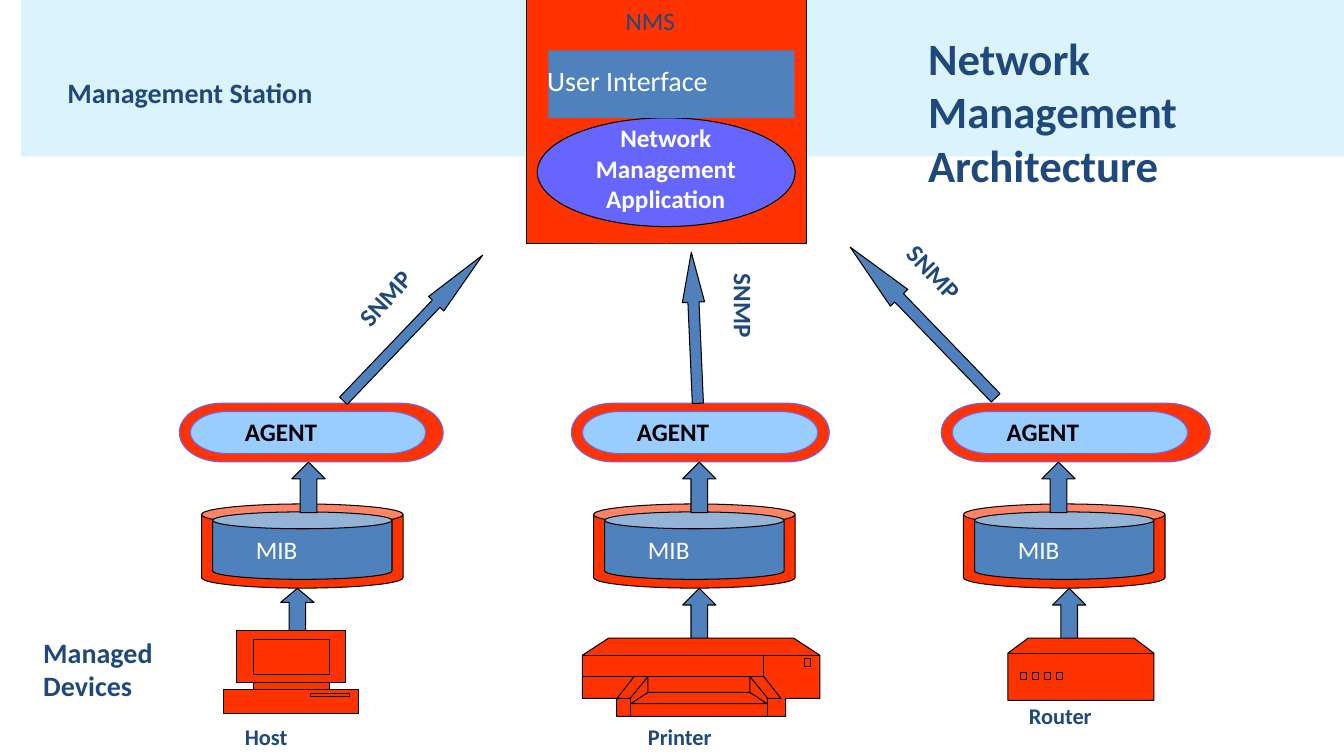
from dataclasses import dataclass

from pptx import Presentation
from pptx.dml.color import RGBColor
from pptx.enum.shapes import MSO_SHAPE as Preset
from pptx.enum.text import MSO_AUTO_SIZE as AutoSize, PP_ALIGN as Align
from pptx.util import Cm, Pt


@dataclass(frozen=True)
class Theme:
    font: str = "Calibri"
    navy: str = "1F497D"
    blue: str = "4F81BD"
    sky: str = "99CCFF"
    band: str = "DAF3FD"
    red: str = "FF3300"
    violet: str = "6666FF"
    black: str = "000000"
    white: str = "FFFFFF"
    title: int = 32
    heading: int = 20
    label: int = 18
    caption: int = 16
    outline: float = 0.75


@dataclass(frozen=True)
class Device:
    """One column of the diagram; all lengths are in centimetres."""
    name: str
    left: float
    agent_width: float
    mib_text_width: float
    agent_text_width: float
    snmp_arrow: tuple      # left, top, width, height, rotation, head length
    snmp_label: tuple      # left, top, rotation
    agent_arrow_left: float
    mib_arrow: tuple       # left, top, length, head length
    icon_at: tuple
    icon_outline: list
    icon_details: list
    caption: tuple         # left, top, width


class Diagram:
    def __init__(self, slide, theme):
        self.shapes = slide.shapes
        self.theme = theme

    def paint(self, shape, fill, line):
        shape.shadow.inherit = False
        if fill:
            shape.fill.solid()
            shape.fill.fore_color.rgb = RGBColor.from_string(fill)
        else:
            shape.fill.background()
        if line:
            shape.line.color.rgb = RGBColor.from_string(line)
            shape.line.width = Pt(self.theme.outline)
        else:
            shape.line.fill.background()
        return shape

    def block(self, preset, left, top, width, height, fill, line=None):
        shape = self.shapes.add_shape(preset, Cm(left), Cm(top), Cm(width), Cm(height))
        return self.paint(shape, fill, line)

    def arrow(self, left, top, length, height, rotation, head):
        arrow = self.block(Preset.RIGHT_ARROW, left, top, length, height,
                           self.theme.blue, self.theme.black)
        arrow.adjustments[0] = 0.5
        arrow.adjustments[1] = head
        arrow.rotation = rotation

    def contours(self, at, contours, fill, close):
        """Draw point lists, given relative to the corner at, as one freeform."""
        placed = [[(Cm(at[0] + x), Cm(at[1] + y)) for x, y in points]
                  for points in contours]
        builder = self.shapes.build_freeform(*placed[0][0])
        for index, (start, *rest) in enumerate(placed):
            if index:
                builder.move_to(*start)
            builder.add_line_segments(rest, close=close)
        self.paint(builder.convert_to_shape(), fill, self.theme.black)

    def text(self, words, left, top, width, height, size, color, bold=True,
             align=Align.LEFT, wrap=True, rotation=0, inset=True):
        box = self.shapes.add_textbox(Cm(left), Cm(top), Cm(width), Cm(height))
        box.rotation = rotation
        frame = box.text_frame
        frame.word_wrap = wrap
        frame.auto_size = AutoSize.SHAPE_TO_FIT_TEXT
        if not inset:
            frame.margin_left = frame.margin_right = 0
            frame.margin_top = frame.margin_bottom = 0
        frame.text = words
        paragraph = frame.paragraphs[0]
        paragraph.alignment = align
        font = paragraph.runs[0].font
        font.name, font.size, font.bold = self.theme.font, Pt(size), bold
        font.color.rgb = RGBColor.from_string(color)

    def station(self):
        t = self.theme
        self.block(Preset.RECTANGLE, 0.53, 0, 33.34, 3.94, t.band)
        self.block(Preset.RECTANGLE, 13.26, 0, 7.06, 6.15, t.red, t.black)
        self.block(Preset.OVAL, 13.54, 2.97, 6.5, 2.74, t.violet, t.black)
        self.block(Preset.RECTANGLE, 13.82, 1.27, 6.2, 1.7, t.blue)
        self.text("Management Station", 1.7, 1.9, 9.6, 0.86, t.heading, t.navy, inset=False)
        self.text("NMS", 15.52, 0, 3.12, 1.02, t.label, t.navy, bold=False)
        self.text("User Interface", 13.54, 1.47, 6.5, 1.09, t.heading, t.white, bold=False)
        self.text("Network Management Application", 13.82, 2.97, 5.92, 2.54,
                  t.label, t.white, align=Align.CENTER)

    def device(self, d):
        t = self.theme
        can, pill = Preset.CAN, Preset.FLOWCHART_TERMINATOR
        self.block(can, d.left, 12.7, 5.08, 2.12, t.red, t.black)
        self.block(can, d.left + 0.28, 12.9, 4.52, 1.7, t.blue, t.black)
        self.text("MIB", d.left + 1.12, 13.34, d.mib_text_width, 1.02,
                  t.label, t.white, bold=False)
        self.block(pill, d.left - 0.56, 10.16, d.agent_width, 1.48, t.red, t.violet)
        self.block(pill, d.left - 0.28, 10.37, 5.93, 1.06, t.sky, t.violet)
        self.text("AGENT", d.left + 0.84, 10.37, d.agent_text_width, 1.02, t.label, t.black)

        self.arrow(*d.snmp_arrow)
        left, top, rotation = d.snmp_label
        self.text("SNMP", left, top, 2.13, 1.02, t.label, t.navy, wrap=False, rotation=rotation)
        self.arrow(d.agent_arrow_left, 11.86, 1.27, 0.84, 270, 0.5)
        left, top, length, head = d.mib_arrow
        self.arrow(left, top, length, 0.84, 270, head)

        self.contours(d.icon_at, [d.icon_outline], t.red, close=True)
        self.contours(d.icon_at, d.icon_details, None, close=False)
        self.text(d.name, *d.caption, 0.94, t.caption, t.navy)


def frame(left, top, right, bottom):
    return [(left, top), (right, top), (right, bottom), (left, bottom), (left, top)]


def mirrored(points, axis_sum):
    """Reflect points so that each x and its image add up to axis_sum."""
    return [(axis_sum - x, y) for x, y in points]


HOST_HALF = [(0, 2.11), (0, 1.5), (0.74, 1.5), (0.74, 1.32), (0.33, 1.32), (0.33, 0)]
PRINTER_HALF = [(0.86, 1.97), (0.86, 1.52), (0, 1.52), (0, 0.43), (0.66, 0)]
PAPER_GUIDE = [(4.22, 1.37), (4.22, 0.97), (4.67, 1.52), (5, 1.52), (4.57, 0.97)]
TRAY_SIDE = [(4.67, 1.52), (4.67, 1.97)]
TRAY = [(4.22, 1.37), (4.65, 1.65), (1.22, 1.65), (1.65, 1.37), (4.22, 1.37)]

DEVICES = [
    Device("Host", 5.08, 6.65, 4.24, 4.24,
           (7.87, 8, 5.08, 0.53, 313.7, 3.2), (8.64, 6.99, 312.2),
           7.14, (6.96, 14.94, 1.07, 0.42), (5.64, 15.88),
           HOST_HALF + mirrored(HOST_HALF, 3.4)[::-1],
           [frame(0.74, 1.32, 2.67, 1.5), frame(0.74, 0.23, 2.67, 1.12),
            frame(2.18, 1.6, 3.18, 1.68)],
           (5.92, 18.11, 2.82)),
    Device("Printer", 14.96, 6.5, 1.7, 2.5,
           (15.6, 7.98, 3.81, 0.56, 267.5, 2.25), (17.68, 7.21, 90),
           16.99, (16.99, 15.04, 1.27, 0.5), (14.68, 16.08),
           PRINTER_HALF + mirrored(PRINTER_HALF, 5.98)[::-1],
           [[(0, 0.43), (5.98, 0.43)], [(4.57, 0.43), (4.57, 0.97), (0, 0.97)],
            PAPER_GUIDE, mirrored(PAPER_GUIDE, 5.87),
            TRAY_SIDE, mirrored(TRAY_SIDE, 5.87),
            TRAY, frame(5.59, 0.51, 5.74, 0.71)],
           (16.08, 18.11, 3.1)),
    Device("Router", 24.28, 6.78, 1.7, 2.5,
           (20.62, 7.82, 5.28, 0.61, 226, 2.91), (22.48, 6.35, 46.4),
           26.04, (26.31, 15.04, 1.27, 0.5), (25.4, 16.08),
           [(0, 0.38), (0.51, 0), (3.18, 0), (3.68, 0.38), (3.68, 1.57), (0, 1.57)],
           [[(0, 0.38), (3.68, 0.38)]]
           + [frame(0.33 + 0.3 * lamp, 0.86, 0.48 + 0.3 * lamp, 1.04) for lamp in range(4)],
           (25.68, 17.58, 5.08)),
]


def main():
    deck = Presentation()
    deck.slide_width, deck.slide_height = Cm(33.87), Cm(19.05)
    theme = Theme()
    diagram = Diagram(deck.slides.add_slide(deck.slide_layouts[6]), theme)
    diagram.station()
    for device in DEVICES:
        diagram.device(device)
    diagram.text("Managed Devices", 0.84, 15.88, 4.52, 1.96, theme.heading, theme.navy)
    diagram.text("Network Management Architecture", 23.14, 0.64, 9.6, 4.37,
                 theme.title, theme.navy)
    deck.save("out.pptx")


if __name__ == "__main__":
    main()
